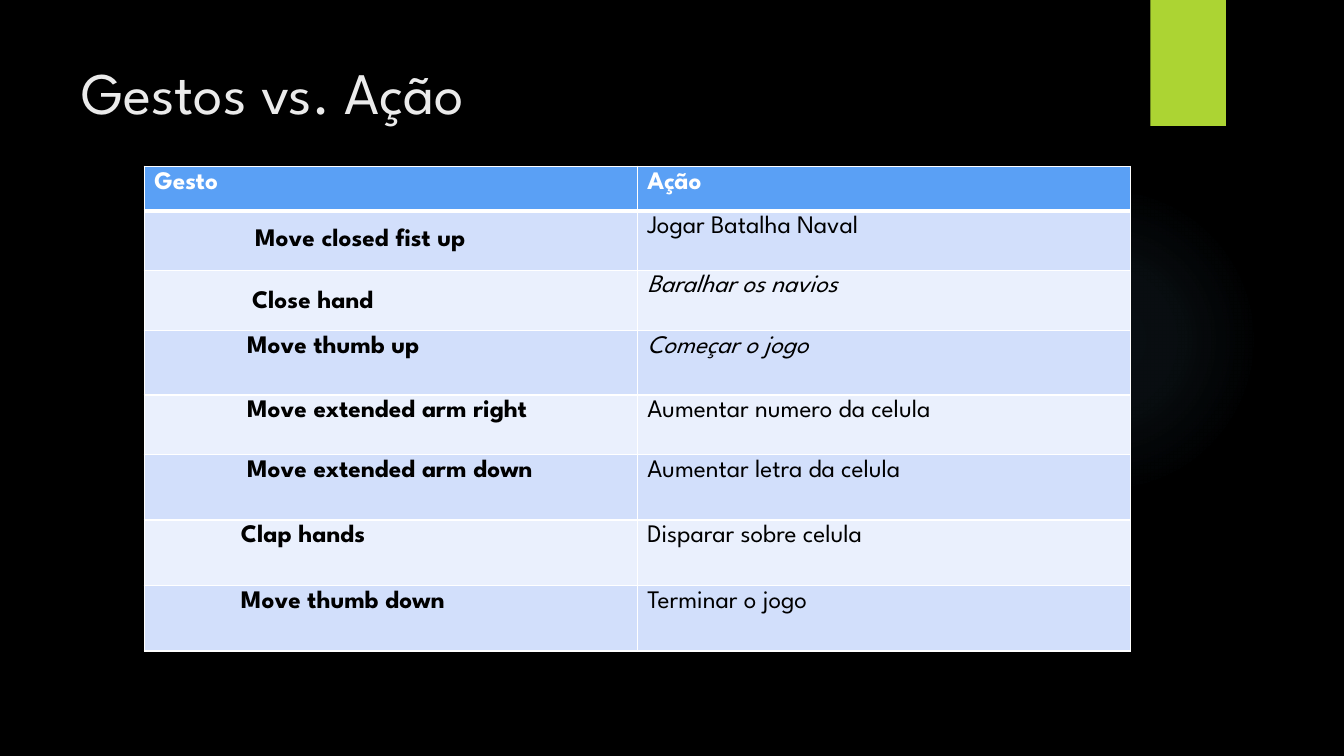
import pptx
import pptx.util
import pptx.oxml
import pptx.oxml.ns
import pptx.dml.color
import pptx.enum.shapes
import pptx.enum.text

Inches, Pt = pptx.util.Inches, pptx.util.Pt
SHAPE = pptx.enum.shapes.MSO_SHAPE
ANCHOR = pptx.enum.text.MSO_ANCHOR
NS = pptx.oxml.ns.nsdecls("a")

COLORS = {
    "back": "000000", "glow": "7AC4F0", "tab": "ACD433", "title": "EBEBEB",
    "header": "5AA0F5", "odd": "D2DFFB", "even": "EAF0FD",
    "line": "FFFFFF", "light": "FFFFFF", "dark": "000000",
}
FONT = "League Spartan"

HEADINGS = ("Gesto", "Ação")
# gesture, paragraph format, cell format, action, action font
MIDDLE = {"vertical_anchor": ANCHOR.MIDDLE}
TIGHT = {"margin_left": Inches(0.07), "margin_right": Inches(0.07),
         "margin_top": 0, "margin_bottom": 0}
ROWS = [
    ("Move closed fist up", 1, {"level": 2}, MIDDLE, "Jogar Batalha Naval", {}),
    ("Close hand", 1, {"level": 2, "line_spacing": 1.15, "space_before": Pt(30)},
     {**MIDDLE, **TIGHT}, "Baralhar os navios", {"italic": True}),
    ("Move thumb up", 0.92, {}, {}, "Começar o jogo", {"italic": True}),
    ("Move extended arm right", 0.92, {}, {}, "Aumentar numero da celula", {}),
    ("Move extended arm down", 0.92, {}, {}, "Aumentar letra da celula", {}),
    ("Clap hands", 0.86, {}, {}, "Disparar sobre celula", {}),
    ("Move thumb down", 0.86, {}, {}, "Terminar o jogo", {}),
]
HEIGHTS = [0.44, 0.59, 0.6, 0.64, 0.59, 0.65, 0.65, 0.65]


def rgb(name):
    return pptx.dml.color.RGBColor.from_string(COLORS[name])


def apply(target, values):
    for name, value in values.items():
        setattr(target, name, value)


class Deck:
    def __init__(self, width, height):
        self.prs = pptx.Presentation()
        self.prs.slide_width, self.prs.slide_height = Inches(width), Inches(height)
        self.s = self.prs.slides.add_slide(self.prs.slide_layouts[6])
        fill = self.s.background.fill
        fill.solid()
        fill.fore_color.rgb = rgb("back")

    def shape(self, kind, box, color):
        sp = self.s.shapes.add_shape(kind, *map(Inches, box))
        sp.shadow.inherit = False
        sp.line.fill.background()
        sp.fill.solid()
        sp.fill.fore_color.rgb = rgb(color)
        return sp

    def glow(self, box, color, stops):
        sp = self.shape(SHAPE.OVAL, box, color)
        marks = "".join(
            f'<a:gs pos="{pos * 1000}"><a:srgbClr val="{COLORS[color]}">'
            f'<a:alpha val="{alpha * 1000}"/></a:srgbClr></a:gs>' for pos, alpha in stops)
        gradient = pptx.oxml.parse_xml(
            f'<a:gradFill {NS}><a:gsLst>{marks}</a:gsLst><a:path path="circle">'
            '<a:fillToRect l="50000" t="50000" r="50000" b="50000"/></a:path></a:gradFill>')
        solid = sp._element.spPr.find(pptx.oxml.ns.qn("a:solidFill"))
        solid.getparent().replace(solid, gradient)

    def run(self, p, text, size, color, **font):
        r = p.add_run()
        r.text = text
        apply(r.font, {"name": FONT, "size": Pt(size), **font})
        r.font.color.rgb = rgb(color)

    def text(self, box, text, size, color):
        tf = self.s.shapes.add_textbox(*map(Inches, box)).text_frame
        tf.word_wrap = True
        self.run(tf.paragraphs[0], text, size, color)

    def borders(self, cell, top=1, bottom=1):
        tcPr = cell._tc.get_or_add_tcPr()
        for side, width in (("L", 1), ("R", 1), ("T", top), ("B", bottom)):
            tcPr.append(pptx.oxml.parse_xml(
                f'<a:ln{side} {NS} w="{Pt(width)}"><a:solidFill>'
                f'<a:srgbClr val="{COLORS["line"]}"/></a:solidFill></a:ln{side}>'))

    def cell(self, cell, text, fill, color="dark", indent=0, para=None, layout=None, **font):
        cell.fill.solid()
        cell.fill.fore_color.rgb = rgb(fill)
        apply(cell, layout or {})
        p = cell.text_frame.paragraphs[0]
        apply(p, para or {})
        if indent:
            apply_indent = p._p.get_or_add_pPr()
            apply_indent.set("marL", str(Inches(indent)))
            apply_indent.set("indent", "0")
        self.run(p, text, 18, color, **font)

    def table(self, box, headings, rows, heights):
        table = self.s.shapes.add_table(len(heights), len(headings), *map(Inches, box)).table
        for row, height in zip(table.rows, heights):
            row.height = Inches(height)
        for i, row in enumerate(table.rows):
            for cell in row.cells:
                self.borders(cell, top=3 if i == 1 else 1, bottom=3 if i == 0 else 1)
        for col, heading in enumerate(headings):
            self.cell(table.cell(0, col), heading, "header", "light", bold=True)
        for i, (gesture, indent, para, layout, action, font) in enumerate(rows, 1):
            fill = "odd" if i % 2 else "even"
            self.cell(table.cell(i, 0), gesture, fill, indent=indent, para=para,
                      layout=layout, bold=True)
            self.cell(table.cell(i, 1), action, fill, bold=False, **font)


def main():
    deck = Deck(13.33, 7.5)
    # Backdrop
    deck.glow((9.41, 1.83, 3.08, 3.08), "glow", [(0, 7), (36, 6), (69, 0)])
    deck.shape(SHAPE.RECTANGLE, (11.41, 0, 0.75, 1.25), "tab")
    # Title
    deck.text((0.71, 0.5, 10.29, 1.53), "Gestos vs. Ação", 42, "title")
    # Gestures and their actions
    deck.table((1.43, 1.65, 9.78, 4.81), HEADINGS, ROWS, HEIGHTS)
    deck.prs.save("out.pptx")


if __name__ == "__main__":
    main()
